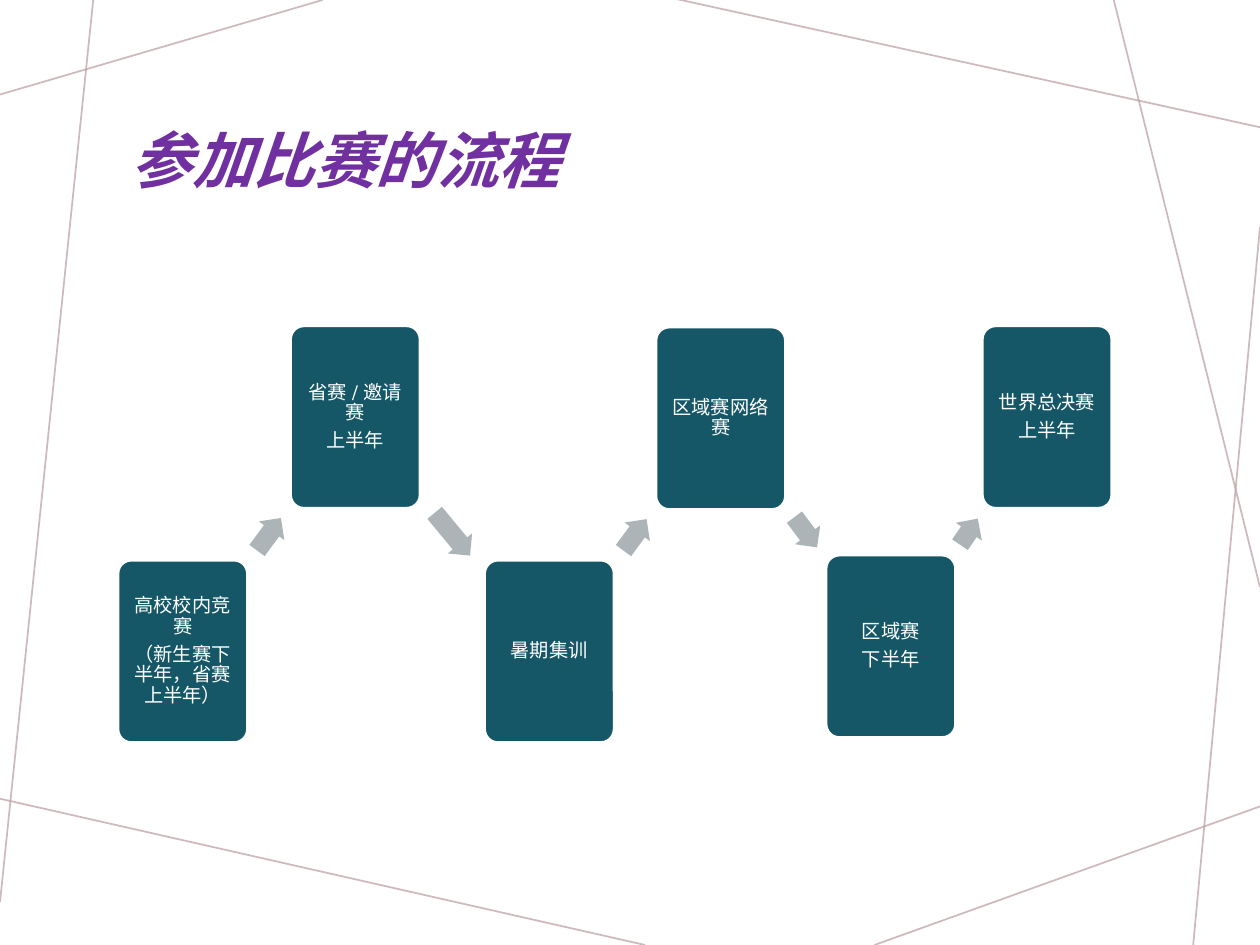
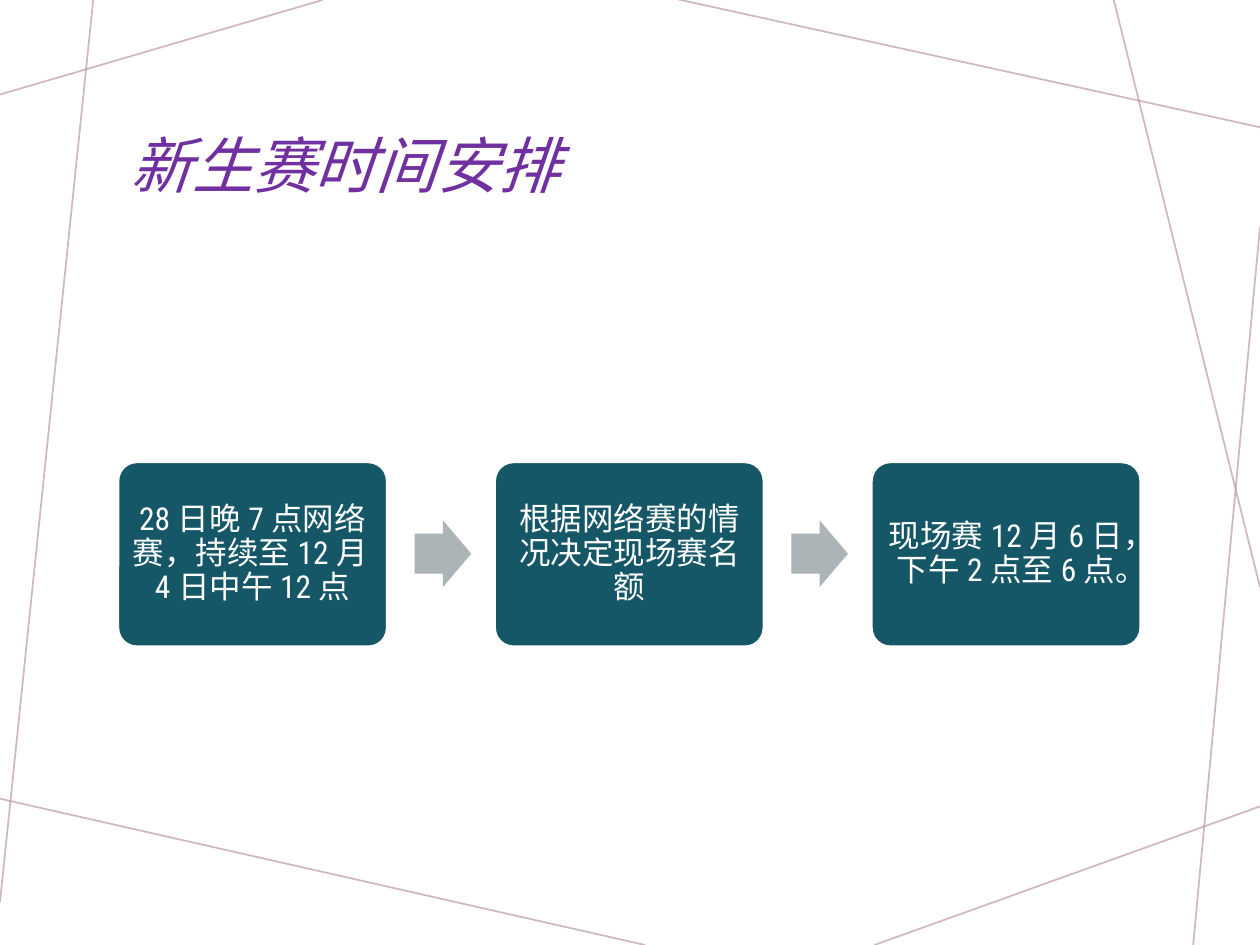
from math import atan2, degrees
from lxml import etree
from pptx import Presentation
from pptx.dml.color import RGBColor
from pptx.enum.lang import MSO_LANGUAGE_ID
from pptx.enum.shapes import MSO_CONNECTOR, MSO_SHAPE
from pptx.enum.text import MSO_ANCHOR, PP_ALIGN
from pptx.oxml.ns import qn
from pptx.util import Inches, Pt

STRAIGHT = MSO_CONNECTOR.STRAIGHT
CARD = MSO_SHAPE.ROUNDED_RECTANGLE
ARROW = MSO_SHAPE.RIGHT_ARROW
MIDDLE = MSO_ANCHOR.MIDDLE
LEFT, CENTER = PP_ALIGN.LEFT, PP_ALIGN.CENTER
CHINESE = MSO_LANGUAGE_ID.SIMPLIFIED_CHINESE

COLORS = {
    "title": "7030A0",
    "card": "155767",
    "arrow": "ACB4B8",
    "white": "FFFFFF",
    "web": "BA9CA0",
}

deck = Presentation()
deck.slide_width, deck.slide_height = Inches(10), Inches(7.5)
CELL = deck.slide_width / 100


def write_text(frame, paragraphs, size, color, font="Roboto Condensed", align=CENTER,
               bold=False, italic=False, gap=0.35, inset_x=0.5, inset_y=0.5):
    frame.word_wrap = True
    frame.vertical_anchor = MIDDLE
    frame.margin_left = frame.margin_right = int(inset_x * CELL)
    frame.margin_top = frame.margin_bottom = int(inset_y * CELL)
    for index, text in enumerate(paragraphs):
        paragraph = frame.add_paragraph() if index else frame.paragraphs[0]
        paragraph.alignment = align
        paragraph.line_spacing = 0.9
        paragraph.space_after = Pt(size * gap)
        run = paragraph.add_run()
        run.text = text
        run.font.name = font
        run.font.size = Pt(size)
        run.font.bold = bold
        run.font.italic = italic
        run.font.color.rgb = RGBColor.from_string(COLORS[color])
        run.font.language_id = CHINESE


def add_block(slide, kind, left, top, width, height, color, adjustments):
    block = slide.shapes.add_shape(kind, *(int(n * CELL) for n in (left, top, width, height)))
    block.shadow.inherit = False
    block.fill.solid()
    block.fill.fore_color.rgb = RGBColor.from_string(COLORS[color])
    for index, value in enumerate(adjustments):
        block.adjustments[index] = value
    if kind == CARD:
        block.line.color.rgb = RGBColor.from_string(COLORS["white"])
        block.line.width = Pt(1)
    else:
        block.line.fill.background()
    return block


web_lines = [
    (25.6, 0, 0, 7.5),
    (7.4, 0, 0, 71.6),
    (51.2, 75, -0.4, 63.3),
    (100, 64, 69.4, 75),
    (100, 18, 94.7, 75),
    (100, 46.6, 88.4, 0),
    (100, 10.1, 53.6, -0.1),
]
headings = [("参加比赛的流程", 5.4, True), ("新生赛时间安排", 5.8, False)]

slides = []
for heading, heading_top, heavy in headings:
    slide = deck.slides.add_slide(deck.slide_layouts[6])
    slides.append(slide)
    for ends in web_lines:
        strand = slide.shapes.add_connector(STRAIGHT, *(int(n * CELL) for n in ends))
        strand.line.color.rgb = RGBColor.from_string(COLORS["web"])
        strand.line.width = Pt(1)
        properties = strand.element.spPr
        tint = next(properties.iter(qn("a:srgbClr")))
        etree.SubElement(tint, qn("a:alpha")).set("val", "70000")
        etree.SubElement(properties, qn("a:effectLst"))
    title = slide.shapes.add_textbox(*(int(n * CELL) for n in (9.4, heading_top, 81.2, 15.1)))
    write_text(title.text_frame, [heading], size=35, color="title", font="Calibri", align=LEFT,
               bold=heavy, italic=True, gap=0, inset_x=1)

process_slide, schedule_slide = slides

stage_width, stage_height = 10.2, 14.4
stages = [
    (9.4, 44.5, ["高校校内竞赛", "（新生赛下半年，省赛上半年）"]),
    (23.1, 25.9, ["省赛/邀请赛", "上半年"]),
    (38.5, 44.5, ["暑期集训"]),
    (52.1, 26, ["区域赛网络赛"]),
    (65.6, 44.1, ["区域赛", "下半年"]),
    (78, 25.9, ["世界总决赛", "上半年"]),
]
for left, top, words in stages:
    stage = add_block(process_slide, CARD, left, top, stage_width, stage_height, "card", [0.1])
    write_text(stage.text_frame, words, size=11, color="white")

step_lengths = [3.2, 4.4, 3.1, 3, 2.5]
step_height = 2.5
for (x1, y1, _), (x2, y2, _), length in zip(stages, stages[1:], step_lengths):
    middle_x = (x1 + x2 + stage_width) / 2
    middle_y = (y1 + y2 + stage_height) / 2
    step = add_block(process_slide, ARROW, middle_x - length / 2, middle_y - step_height / 2,
                     length, step_height, "arrow", [0.6, 0.5])
    step.rotation = degrees(atan2(y2 - y1, x2 - x1))

rounds = [
    "28日晚7点网络赛，持续至12月4日中午12点",
    "根据网络赛的情况决定现场赛名额",
    "现场赛12月6日，下午2点至6点。",
]
round_pitch = 29.9
for index, words in enumerate(rounds):
    left = 9.4 + index * round_pitch
    if index:
        add_block(schedule_slide, ARROW, left - 6.4, 41.3, 4.5, 5.3, "arrow", [0.6, 0.5])
    contest = add_block(schedule_slide, CARD, left, 36.7, 21.3, 14.6, "card", [0.1])
    write_text(contest.text_frame, [words], size=18, color="white", inset_x=0.7, inset_y=0.7)

deck.save("out.pptx")
